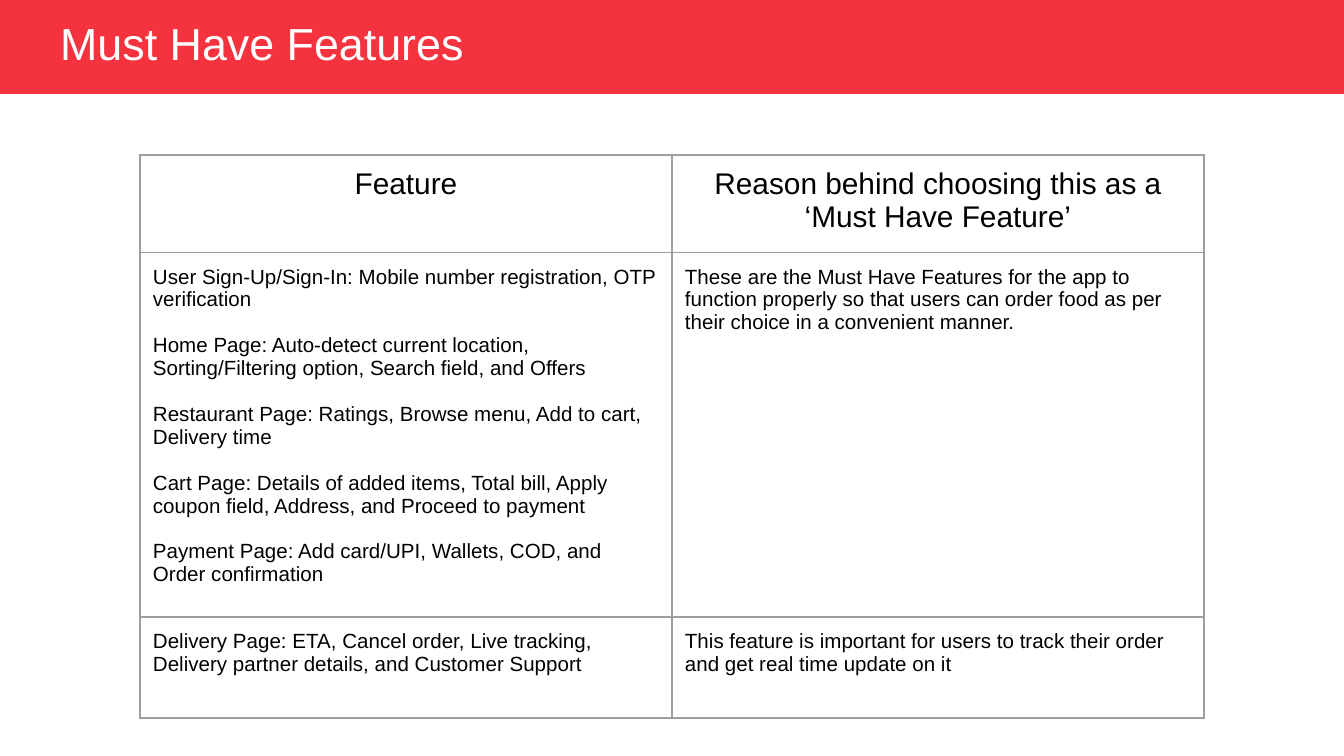
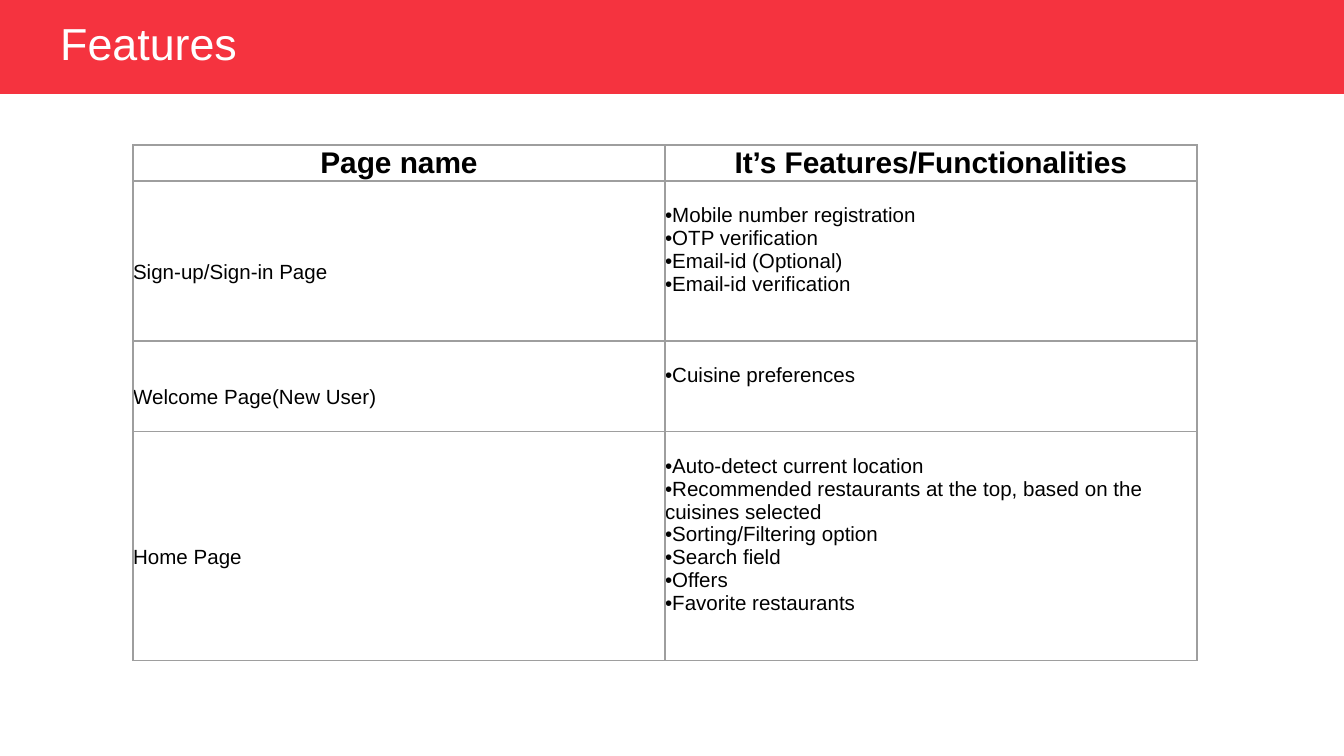
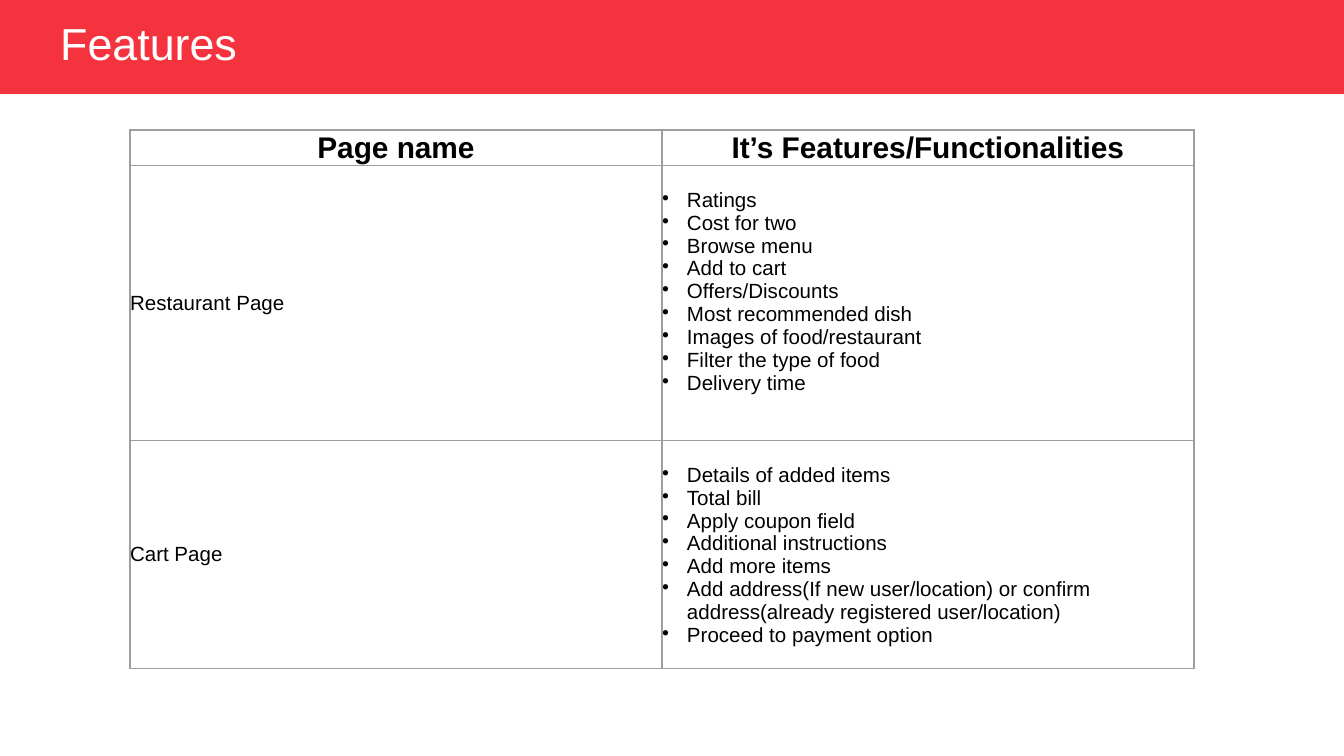
from pptx import Presentation
from pptx.dml.color import RGBColor
from pptx.enum.shapes import MSO_SHAPE
from pptx.enum.text import MSO_ANCHOR, PP_ALIGN
from pptx.oxml import parse_xml
from pptx.oxml.ns import nsdecls
from pptx.util import Pt

# Shared look
PX = 914400 / 134.4
RED = RGBColor(0xF5, 0x33, 0x3F)
WHITE = RGBColor(0xFF, 0xFF, 0xFF)
BLACK = RGBColor(0x00, 0x00, 0x00)
GREY = RGBColor(0x9E, 0x9E, 0x9E)
LINE = 23  # height of one body line
COL = 532
HEAD = dict(name="Arial", size=Pt(16))
BODY = dict(name="Arial", size=Pt(11), bold=False)


def px(n):
    return round(n * PX)


def write(para, text, color, style):
    run = para.add_run()
    run.text = text
    run.font.color.rgb = color
    for key, val in style.items():
        setattr(run.font, key, val)
    # The paragraph end sets bullet size and line height
    size = round(style["size"].pt * 100)
    para._p.append(parse_xml(f'<a:endParaRPr {nsdecls("a")} sz="{size}"/>'))


# One entry per slide; each row is (height, left cell, right cell)
names = ("Page name", "It’s Features/Functionalities")
pages = [
    dict(title="Must Have Features", at=(140, 155), pad=13, bold=False,
         listed=False, indent=0, gap=12.3, leading=1,
         heads=("Feature", "Reason behind choosing this as a ‘Must Have Feature’"),
         high=93, rows=[
             (347, [
                 "User Sign-Up/Sign-In: Mobile number registration, OTP verification",
                 "Home Page: Auto-detect current location, Sorting/Filtering option, "
                 "Search field, and Offers",
                 "Restaurant Page: Ratings, Browse menu, Add to cart, Delivery time",
                 "Cart Page: Details of added items, Total bill, Apply coupon field, "
                 "Address, and Proceed to payment",
                 "Payment Page: Add card/UPI, Wallets, COD, and Order confirmation",
             ], [
                 "These are the Must Have Features for the app to function properly "
                 "so that users can order food as per their choice in a convenient manner.",
             ]),
             (101, [
                 "Delivery Page: ETA, Cancel order, Live tracking, "
                 "Delivery partner details, and Customer Support",
             ], [
                 "This feature is important for users to track their order "
                 "and get real time update on it",
             ]),
         ]),
    dict(title="Features", at=(133, 145), pad=0, bold=True,
         listed=True, indent=0, gap=0, leading=2, heads=names, high=36, rows=[
             (160, ["Sign-up/Sign-in Page"], [
                 "•Mobile number registration", "•OTP verification",
                 "•Email-id (Optional)", "•Email-id verification",
             ]),
             (91, ["Welcome Page(New User)"], ["•Cuisine preferences"]),
             (229, ["Home Page"], [
                 "•Auto-detect current location",
                 "•Recommended restaurants at the top, based on the cuisines selected",
                 "•Sorting/Filtering option", "•Search field", "•Offers",
                 "•Favorite restaurants",
             ]),
         ]),
    dict(title="Features", at=(130, 130), pad=0, bold=True,
         listed=True, indent=25, gap=0, leading=1, heads=names, high=35, rows=[
             (275, ["Restaurant Page"], [
                 "Ratings", "Cost for two", "Browse menu", "Add to cart",
                 "Offers/Discounts", "Most recommended dish",
                 "Images of food/restaurant", "Filter the type of food",
                 "Delivery time",
             ]),
             (228, ["Cart Page"], [
                 "Details of added items", "Total bill", "Apply coupon field",
                 "Additional instructions", "Add more items",
                 "Add address(If new user/location) or confirm "
                 "address(already registered user/location)",
                 "Proceed to payment option",
             ]),
         ]),
]

deck = Presentation()
deck.slide_width, deck.slide_height = px(1344), px(756)

for page in pages:
    slide = deck.slides.add_slide(deck.slide_layouts[6])

    # Red band
    band = slide.shapes.add_shape(MSO_SHAPE.RECTANGLE, 0, 0, px(1344), px(94))
    band.shadow.inherit = False
    band.fill.solid()
    band.fill.fore_color.rgb = RED
    band.line.fill.background()

    # Title
    box = slide.shapes.add_textbox(px(47), px(18), px(550), px(56)).text_frame
    box.word_wrap = True
    box.vertical_anchor = MSO_ANCHOR.MIDDLE
    box.paragraphs[0].line_spacing = 0.9
    write(box.paragraphs[0], page["title"], WHITE, dict(name="Arial", size=Pt(24)))

    # Table grid
    left, top = page["at"]
    rows = [(page["high"], *([head] for head in page["heads"]))] + page["rows"]
    tall = sum(row[0] for row in rows)
    table = slide.shapes.add_table(
        len(rows), 2, px(left), px(top), px(2 * COL), px(tall)).table
    table.first_row = table.horz_banding = False
    for col in table.columns:
        col.width = px(COL)

    for r, (high, *cells) in enumerate(rows):
        table.rows[r].height = px(high)
        for c, texts in enumerate(cells):
            cell = table.cell(r, c)
            head = r == 0
            listed = page["listed"] and not head and c == 1

            # Borders, fill, margins
            props = cell._tc.get_or_add_tcPr()
            for side in "LRTB":
                props.append(parse_xml(
                    f'<a:ln{side} {nsdecls("a")} w="9525"><a:solidFill>'
                    f'<a:srgbClr val="{GREY}"/></a:solidFill></a:ln{side}>'))
            cell.fill.background()
            for side in ("left", "right", "top", "bottom"):
                setattr(cell, f"margin_{side}", px(page["pad"]))
            if listed:
                cell.margin_top = px(LINE)
            elif page["listed"]:
                cell.vertical_anchor = MSO_ANCHOR.MIDDLE

            # Paragraphs
            for i, text in enumerate(texts):
                frame = cell.text_frame
                para = frame.paragraphs[0] if i == 0 else frame.add_paragraph()
                if head:
                    para.alignment = PP_ALIGN.CENTER
                    write(para, text, BLACK, dict(HEAD, bold=page["bold"]))
                    continue
                if i and page["gap"]:
                    para.space_before = Pt(page["gap"])
                if listed and page["indent"]:
                    form = para._p.get_or_add_pPr()
                    form.set("marL", str(px(page["indent"])))
                    form.set("indent", str(-px(page["indent"])))
                    form.append(parse_xml(f'<a:buChar {nsdecls("a")} char="•"/>'))
                elif not listed and page["leading"] > 1:
                    para.line_spacing = float(page["leading"])
                write(para, text, BLACK, BODY)

deck.save("out.pptx")
